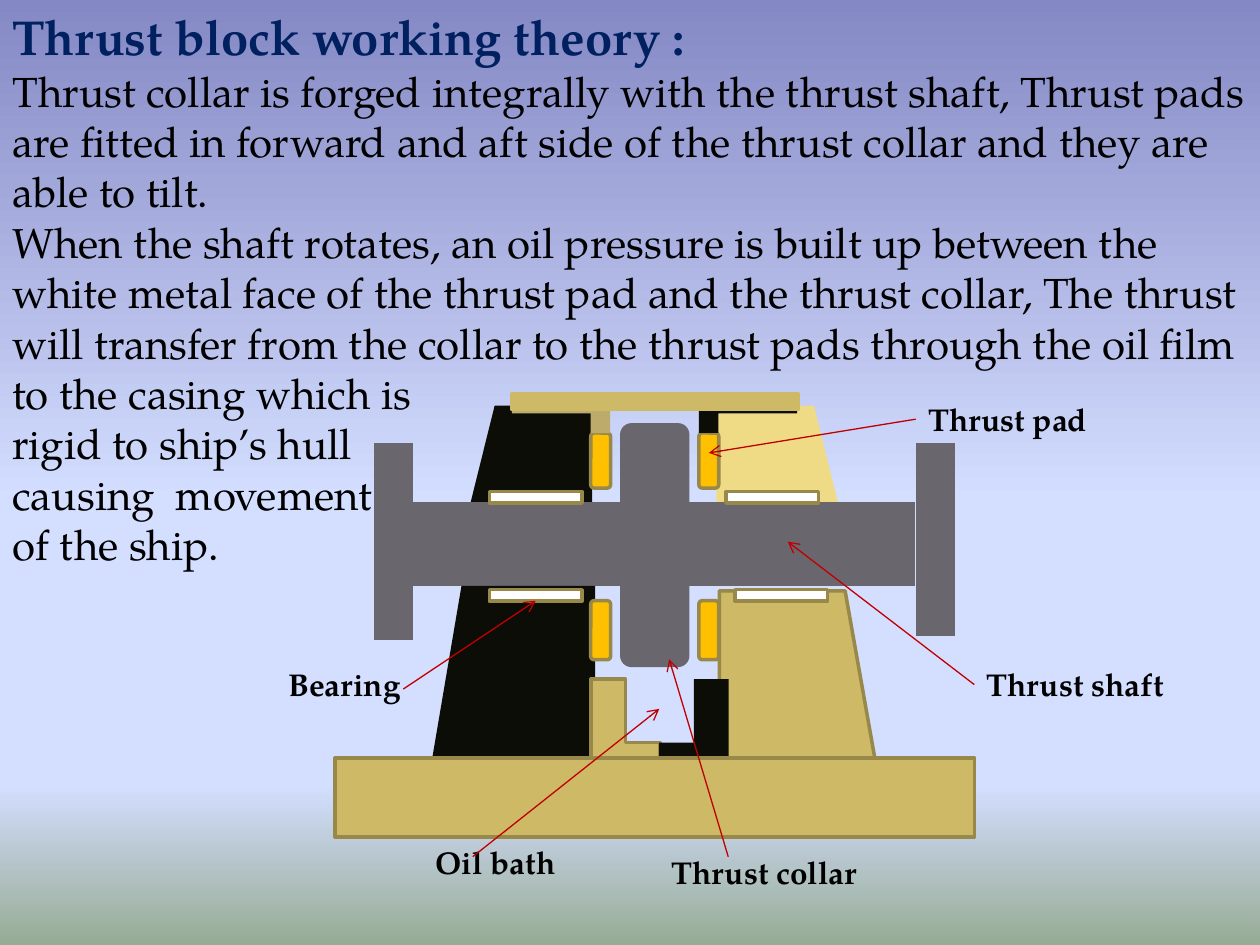
from lxml import etree
from pptx import Presentation
from pptx.dml.color import RGBColor
from pptx.enum.shapes import MSO_CONNECTOR, MSO_SHAPE
from pptx.oxml.ns import qn
from pptx.util import Cm, Pt

FONT = "TeX Gyre Pagella"
BRASS, EDGE, STEEL, DARK = "CEB966", "98894B", "69676D", "0D0D07"
PALE, OLIVE, AMBER, WHITE = "EFDB86", "BCAB6B", "FFC000", "FFFFFF"
NAVY, BLACK, RED = "002060", "000000", "C00000"

BODY = [
    "Thrust collar is forged integrally with the thrust shaft, Thrust pads are "
    "fitted in forward and aft side of the thrust collar and they are able to tilt.",
    "When the shaft rotates, an oil pressure is built up between the white metal "
    "face of the thrust pad and the thrust collar, The thrust will transfer from "
    "the collar to the thrust pads through the oil film to the casing which is",
    "rigid to ship’s hull",
    "causing  movement",
    "of the ship.",
]


def rgb(color):
    return RGBColor.from_string(color)


def set_background(s, stops):
    """Vertical gradient; stops are (percent, colour) pairs from the top."""
    fill = s.background.fill
    fill.gradient()
    fill.gradient_angle = 270
    gs_list = s.element.find(".//" + qn("a:gsLst"))
    for gs in list(gs_list):
        gs_list.remove(gs)
    for pos, color in stops:
        gs = etree.SubElement(gs_list, qn("a:gs"), pos=str(pos * 1000))
        etree.SubElement(gs, qn("a:srgbClr"), val=color)


def add_part(s, kind, box, fill, line=None, rotation=0, flip=None):
    """Machine part; flip is "flipH" or "flipV"."""
    sp = s.shapes.add_shape(kind, *map(Cm, box))
    sp.shadow.inherit = False
    sp.fill.solid()
    sp.fill.fore_color.rgb = rgb(fill)
    if line:
        sp.line.color.rgb = rgb(line)
        sp.line.width = Pt(2)
    else:
        sp.line.fill.background()
    sp.rotation = rotation
    if flip:
        sp.element.spPr.find(qn("a:xfrm")).set(flip, "1")
    return sp


def add_run(p, text, size, color, bold=False):
    r = p.add_run()
    r.text = text
    r.font.name = FONT
    r.font.size = Pt(size)
    r.font.bold = bold
    r.font.color.rgb = rgb(color)


def add_text_frame(s, box):
    sp = s.shapes.add_textbox(*map(Cm, box))
    sp.text_frame.word_wrap = True
    return sp


def add_label(s, text, x, y, w):
    sp = add_text_frame(s, (x, y, w, 1.02))
    add_run(sp.text_frame.paragraphs[0], text, 18, BLACK, bold=True)
    return sp


def add_arrow(s, start, end, label=None):
    """Pointer; when a label is given, it starts at the label's left side."""
    cxn = s.shapes.add_connector(MSO_CONNECTOR.STRAIGHT, *map(Cm, start + end))
    if label:
        cxn.begin_connect(label, 1)
    cxn.line.color.rgb = rgb(RED)
    cxn.line.width = Pt(0.75)
    sp_pr = cxn.element.spPr
    etree.SubElement(sp_pr.find(qn("a:ln")), qn("a:tailEnd"), type="arrow")
    etree.SubElement(sp_pr, qn("a:effectLst"))


def add_pads(s, y, h):
    for x in (14.09, 11.91):
        add_part(s, MSO_SHAPE.FLOWCHART_ALTERNATE_PROCESS, (x, y, 0.4, h), AMBER, EDGE)


def add_casing(s, left_box, right_box, right_fill, right_line=None):
    kind = MSO_SHAPE.FLOWCHART_MANUAL_INPUT
    add_part(s, kind, left_box, DARK, rotation=270, flip="flipH")
    add_part(s, kind, right_box, right_fill, right_line, rotation=90)


def add_shaft(s):
    for box in ((8.33, 10.12, 10.12, 1.7), (18.46, 8.93, 0.79, 3.89),
                (7.54, 8.93, 0.79, 3.97)):
        add_part(s, MSO_SHAPE.FLOWCHART_PROCESS, box, STEEL)
    add_part(s, MSO_SHAPE.ROUNDED_RECTANGLE, (12.5, 8.53, 1.4, 4.92), STEEL)


def add_bearings(s):
    for x, y in ((14.48, 11.51), (9.53, 11.51), (14.3, 9.53), (9.53, 9.53)):
        sp = add_part(s, MSO_SHAPE.MATH_MINUS, (x, y, 2.54, 0.99), WHITE, EDGE)
        sp.adjustments[0] = 0.235


def add_theory(s):
    tf = add_text_frame(s, (0, 0, 25.4, 11.71)).text_frame
    add_run(tf.paragraphs[0], "Thrust block working theory :", 28, NAVY, bold=True)
    for text in BODY:
        add_run(tf.add_paragraph(), text, 24, BLACK)


def main():
    prs = Presentation()
    prs.slide_width, prs.slide_height = Cm(25.4), Cm(19.05)
    s = prs.slides.add_slide(prs.slide_layouts[6])
    set_background(s, [(0, "8488C4"), (53, "D4DEFF"), (83, "D4DEFF"), (100, "96AB94")])

    add_casing(s, (9.72, 7.94, 1.98, 2.46), (14.68, 7.94, 1.98, 2.46), PALE)
    add_shaft(s)
    add_pads(s, 8.73, 1.11)
    add_casing(s, (8.33, 12.11, 3.97, 3.37), (14.3, 12.11, 3.57, 3.17), BRASS, EDGE)

    corner = MSO_SHAPE.CORNER
    add_part(s, corner, (11.91, 13.69, 1.4, 1.98), BRASS, EDGE)
    add_part(s, corner, (13.29, 13.69, 1.4, 1.98), DARK, flip="flipH")
    add_bearings(s)
    add_part(s, corner, (14.09, 7.94, 1.98, 0.79), DARK, flip="flipV")
    add_part(s, corner, (10.32, 7.94, 1.98, 0.79), OLIVE, rotation=180)
    add_part(s, MSO_SHAPE.FLOWCHART_PROCESS, (10.32, 7.94, 5.77, 0.32), BRASS, BRASS)
    add_part(s, MSO_SHAPE.RECTANGLE, (6.75, 15.28, 12.9, 1.59), BRASS, EDGE)

    add_label(s, "Thrust collar", 13.29, 17.07, 5.16)
    pad = add_label(s, "Thrust pad", 18.46, 7.94, 4.96)
    add_label(s, "Bearing", 5.56, 13.29, 2.98)
    shaft = add_label(s, "Thrust shaft", 19.64, 13.29, 4.96)
    add_label(s, "Oil bath", 8.53, 16.87, 5.36)

    add_arrow(s, (18.46, 8.45), (14.29, 9.13), pad)
    add_arrow(s, (14.68, 17.27), (13.49, 13.29))
    add_arrow(s, (8.13, 13.89), (10.8, 12.11))
    add_arrow(s, (19.64, 13.8), (15.88, 10.92), shaft)
    add_arrow(s, (9.53, 17.27), (13.29, 14.29))

    add_theory(s)
    add_pads(s, 12.11, 1.19)
    prs.save("out.pptx")


if __name__ == "__main__":
    main()
